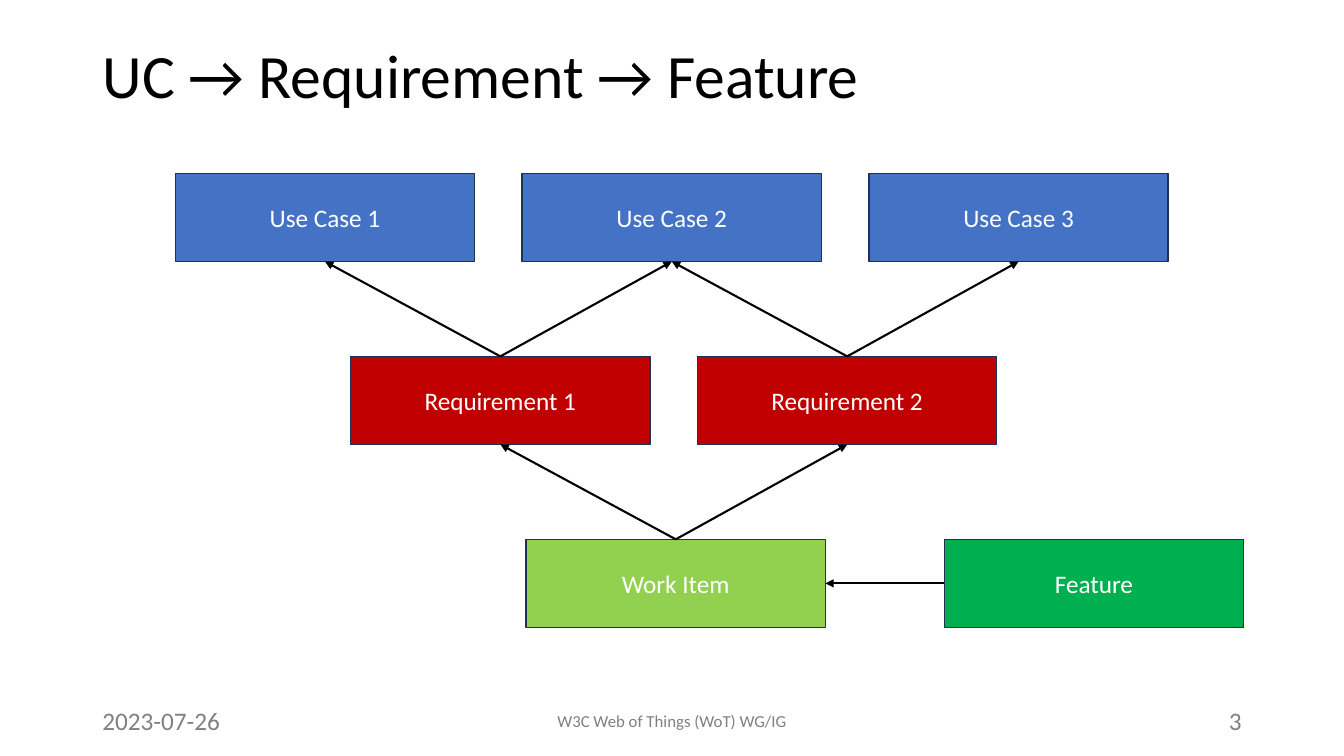
from lxml.etree import SubElement
from pptx import Presentation
from pptx.dml.color import RGBColor
from pptx.enum.shapes import MSO_CONNECTOR, MSO_SHAPE
from pptx.enum.text import MSO_ANCHOR, PP_ALIGN
from pptx.oxml.ns import qn
from pptx.util import Cm, Pt

TOP, LEFT, BOTTOM = 0, 1, 2
RIGHT = 3
BOX_WIDTH, BOX_HEIGHT = 7.54, 2.22
COLUMN_STEP, ROW_STEP, ROW_INDENT = 8.74, 4.61, 4.42


def color(hex_string):
    return RGBColor.from_string(hex_string)


def write(shape, text, size, hex_string, align, anchor=MSO_ANCHOR.MIDDLE):
    frame = shape.text_frame
    frame.text = text
    frame.word_wrap = True
    frame.vertical_anchor = anchor
    para = frame.paragraphs[0]
    para.alignment = align
    font = para.runs[0].font
    font.name, font.size = "Calibri", Pt(size)
    font.color.rgb = color(hex_string)
    return para


def add_title(page, left, top, width, height):
    title = page.shapes.title
    title.left, title.top, title.width, title.height = left, top, width, height
    para = write(title, "UC → Requirement → Feature", 44, "000000",
                 PP_ALIGN.LEFT, MSO_ANCHOR.TOP)
    para.line_spacing = 0.9


def add_footer(page, left, top, width, height):
    side, middle = Cm(7.62), Cm(11.43)
    parts = [
        ("2023-07-26", 18, PP_ALIGN.LEFT, left, side),
        ("W3C Web of Things (WoT) WG/IG", 12, PP_ALIGN.CENTER,
         left + (width - middle) // 2, middle),
        ("3", 18, PP_ALIGN.RIGHT, left + width - side, side),
    ]
    for text, size, align, part_left, part_width in parts:
        box = page.shapes.add_textbox(part_left, top, part_width, height)
        write(box, text, size, "808080", align)


def add_box(page, text, fill, left, top):
    box = page.shapes.add_shape(MSO_SHAPE.RECTANGLE, left, top,
                                Cm(BOX_WIDTH), Cm(BOX_HEIGHT))
    box.shadow.inherit = False
    box.fill.solid()
    box.fill.fore_color.rgb = color(fill)
    box.line.color.rgb = color("1E3256")
    box.line.width = Pt(1)
    write(box, text, 18, "FFFFFF", PP_ALIGN.CENTER)
    return box


def add_arrow(page, source, source_side, target, target_side):
    arrow = page.shapes.add_connector(MSO_CONNECTOR.STRAIGHT, 0, 0, 0, 0)
    arrow.begin_connect(source, source_side)
    arrow.end_connect(target, target_side)
    arrow.line.color.rgb = color("000000")
    arrow.line.width = Pt(1.5)
    SubElement(arrow.line._get_or_add_ln(), qn("a:tailEnd"), type="triangle")
    SubElement(arrow._element.spPr, qn("a:effectLst"))


def add_diagram(page, left, top):
    # Each row is indented one step further than the row above
    rows = [
        (["Use Case 1", "Use Case 2", "Use Case 3"], "4472C4"),
        (["Requirement 1", "Requirement 2"], "C00000"),
        (["Work Item"], "92D050"),
    ]
    levels = [
        [add_box(page, text, fill,
                 left + Cm(row * ROW_INDENT + column * COLUMN_STEP),
                 top + Cm(row * ROW_STEP))
         for column, text in enumerate(texts)]
        for row, (texts, fill) in enumerate(rows)
    ]
    work_item = levels[-1][0]
    feature = add_box(page, "Feature", "00B050",
                      left + Cm(19.38), work_item.top)

    # Every box points at the two boxes above it
    for upper, lower in zip(levels, levels[1:]):
        for column, source in enumerate(lower):
            for target in upper[column:column + 2]:
                add_arrow(page, source, TOP, target, BOTTOM)
    add_arrow(page, feature, LEFT, work_item, RIGHT)


def main():
    deck = Presentation()
    deck.slide_width, deck.slide_height = Cm(33.87), Cm(19.05)
    page = deck.slides.add_slide(deck.slide_layouts[5])
    add_title(page, Cm(2.33), Cm(1.01), Cm(29.21), Cm(3.68))
    add_footer(page, Cm(2.33), Cm(17.66), Cm(29.21), Cm(1.01))
    add_diagram(page, Cm(4.42), Cm(4.37))
    deck.save("out.pptx")


if __name__ == "__main__":
    main()
